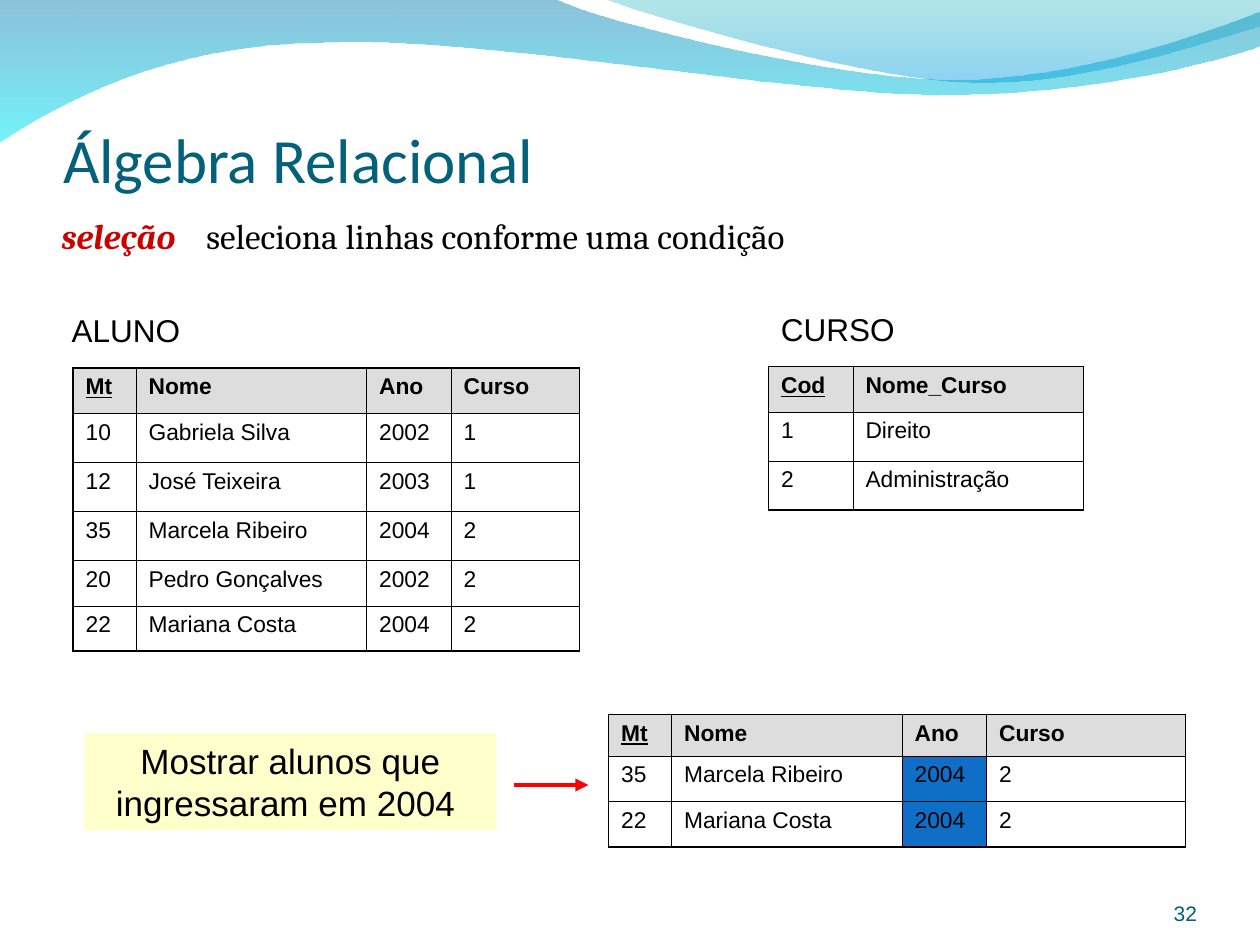
from lxml.etree import SubElement
from pptx import Presentation
from pptx.dml.color import RGBColor
from pptx.enum.shapes import MSO_CONNECTOR, MSO_SHAPE
from pptx.enum.text import MSO_ANCHOR, MSO_AUTO_SIZE, PP_ALIGN
from pptx.oxml.ns import qn
from pptx.util import Inches, Pt

BLACK = RGBColor(0x00, 0x00, 0x00)
RED = RGBColor(0xFF, 0x00, 0x00)
CRIMSON = RGBColor(0xCC, 0x00, 0x00)
TITLE_TEAL = RGBColor(0x04, 0x61, 0x7B)
NUMBER_TEAL = RGBColor(0x04, 0x5C, 0x75)
HEADER_GRAY = RGBColor(0xDD, 0xDD, 0xDD)
NOTE_YELLOW = RGBColor(0xFF, 0xFF, 0xCC)
MATCH_BLUE = RGBColor(0x0F, 0x6F, 0xC6)
WAVE_BLUE = RGBColor(0x00, 0x79, 0xAF)
WAVE_CYAN = RGBColor(0x00, 0xEB, 0xF8)
WAVE_GREEN = RGBColor(0x00, 0xAD, 0xB6)
WAVE_SKY = RGBColor(0x00, 0x9B, 0xE5)

OUTER_LINE = Pt(1.08)
INNER_LINE = Pt(0.45)


def add_span(para, text, size=18, color=BLACK, font="Arial", bold=False, italic=False, underline=False):
    span = para.add_run()
    span.text = text
    span.font.name = font
    span.font.size = Pt(size)
    span.font.color.rgb = color
    span.font.bold = bold
    span.font.italic = italic
    span.font.underline = underline
    return span


class SlideBuilder:
    def __init__(self, deck):
        self.page = deck.slides.add_slide(deck.slide_layouts[5])

    def wave(self, start, segments, stops):
        points = [(Inches(x), Inches(y)) for segment in segments for x, y in segment]
        builder = self.page.shapes.build_freeform(Inches(start[0]), Inches(start[1]))
        builder.add_line_segments(points, close=True)
        shape = builder.convert_to_shape()
        self.curve(shape, segments)
        shape.shadow.inherit = False
        shape.line.fill.background()
        shape.fill.gradient()
        shape.fill.gradient_angle = 270
        for stop, (color, opacity) in zip(shape.fill.gradient_stops, stops):
            stop.color.rgb = color
        colors = list(shape.element.spPr.iter(qn("a:srgbClr")))
        for element, (color, opacity) in zip(colors, stops):
            SubElement(element, qn("a:alpha"), val=str(opacity * 1000))

    def curve(self, shape, segments):
        lines = iter(list(shape.element.spPr.iter(qn("a:lnTo"))))
        for segment in segments:
            first, *others = [next(lines) for point in segment]
            if others:
                first.tag = qn("a:cubicBezTo")
            for line in others:
                first.append(line[0])
                line.getparent().remove(line)

    def title(self, text, left, top, width, height):
        box = self.page.shapes.title
        box.left, box.top, box.width, box.height = map(Inches, (left, top, width, height))
        frame = box.text_frame
        frame.auto_size = MSO_AUTO_SIZE.NONE
        frame.vertical_anchor = MSO_ANCHOR.BOTTOM
        frame.margin_left = frame.margin_right = frame.margin_bottom = 0
        frame.margin_top = Inches(0.05)
        para = frame.paragraphs[0]
        para.alignment = PP_ALIGN.LEFT
        add_span(para, text, size=36, color=TITLE_TEAL, font="Calibri")

    def text(self, left, top, width, height, wrap=True):
        box = self.page.shapes.add_textbox(*map(Inches, (left, top, width, height)))
        box.text_frame.word_wrap = wrap
        return box.text_frame

    def label(self, text, left, top, width):
        frame = self.text(left, top, width, 0.4, wrap=False)
        add_span(frame.paragraphs[0], text)

    def definition(self, term, meaning, left, top, width, height):
        para = self.text(left, top, width, height).paragraphs[0]
        para.line_spacing = 1.8
        tabs = SubElement(para._p.get_or_add_pPr(), qn("a:tabLst"))
        SubElement(tabs, qn("a:tab"), pos=str(Inches(1.15)), algn="l")
        add_span(para, term + "\t", size=20, color=CRIMSON, font="Cambria", bold=True, italic=True)
        add_span(para, meaning, size=20, font="Cambria")

    def page_number(self, text, left, top, width, height):
        frame = self.text(left, top, width, height)
        frame.vertical_anchor = MSO_ANCHOR.BOTTOM
        frame.margin_left = frame.margin_right = frame.margin_top = frame.margin_bottom = 0
        frame.paragraphs[0].alignment = PP_ALIGN.RIGHT
        add_span(frame.paragraphs[0], text, size=12, color=NUMBER_TEAL)

    def note(self, text, left, top, width, height):
        shape = self.page.shapes.add_shape(MSO_SHAPE.RECTANGLE, *map(Inches, (left, top, width, height)))
        shape.shadow.inherit = False
        shape.fill.solid()
        shape.fill.fore_color.rgb = NOTE_YELLOW
        shape.line.fill.background()
        frame = shape.text_frame
        frame.word_wrap = True
        frame.vertical_anchor = MSO_ANCHOR.TOP
        frame.paragraphs[0].alignment = PP_ALIGN.CENTER
        add_span(frame.paragraphs[0], text, size=20)

    def arrow(self, start, end, y):
        line = self.page.shapes.add_connector(
            MSO_CONNECTOR.STRAIGHT, Inches(start), Inches(y), Inches(end), Inches(y))
        line.line.color.rgb = RED
        line.line.width = Pt(2.5)
        SubElement(line.line._get_or_add_ln(), qn("a:tailEnd"), type="triangle")
        SubElement(line.element.spPr, qn("a:effectLst"))

    def border(self, cell, side, width):
        line = SubElement(cell._tc.get_or_add_tcPr(), qn("a:ln" + side), w=str(width))
        fill = SubElement(line, qn("a:solidFill"))
        SubElement(fill, qn("a:srgbClr"), val=str(BLACK))

    def table(self, rows, left, top, widths, heights, match=None):
        frame = self.page.shapes.add_table(
            len(rows), len(widths), Inches(left), Inches(top), Inches(sum(widths)), Inches(sum(heights)))
        table = frame.table
        table.first_row = table.horz_banding = False
        for column, width in zip(table.columns, widths):
            column.width = Inches(width)
        for row, height in zip(table.rows, heights):
            row.height = Inches(height)
        for r, values in enumerate(rows):
            for c, value in enumerate(values):
                cell = table.cell(r, c)
                edges = {"L": c == 0, "R": c == len(widths) - 1, "T": r == 0, "B": r == len(rows) - 1}
                for side, outer in edges.items():
                    self.border(cell, side, OUTER_LINE if outer else INNER_LINE)
                header = r == 0
                if header or value == match:
                    cell.fill.solid()
                    cell.fill.fore_color.rgb = HEADER_GRAY if header else MATCH_BLUE
                else:
                    cell.fill.background()
                add_span(cell.text_frame.paragraphs[0], value, size=13,
                         bold=header, underline=header and c == 0)


def main():
    deck = Presentation()
    deck.slide_width, deck.slide_height = Inches(10), Inches(7.5)
    slide = SlideBuilder(deck)

    slide.wave((0, -0.01), [
        [(4.4, -0.01)],
        [(4.76, 0.17), (6.64, 0.63), (7.58, 0.63)],
        [(8.53, 0.63), (9.58, 0.26), (10, 0.09)],
        [(10.01, 0.36)],
        [(9.83, 0.44), (8.7, 0.76), (7.46, 0.75)],
        [(6.22, 0.75), (3.82, 0.28), (2.57, 0.34)],
        [(1.29, 0.35), (0.46, 0.83), (-0.01, 1.13)],
    ], [(WAVE_BLUE, 45), (WAVE_CYAN, 55)])
    slide.wave((4.79, -0.01), [
        [(5.09, 0.11), (6.82, 0.62), (7.69, 0.65)],
        [(8.56, 0.69), (9.61, 0.32), (10, 0.21)],
        [(10, 0)],
    ], [(WAVE_GREEN, 30), (WAVE_SKY, 45)])

    slide.title("Álgebra Relacional", 0.5, 0.77, 9, 0.79)
    slide.definition("seleção", "seleciona linhas conforme uma condição", 0.39, 1.39, 9.1, 0.83)
    slide.page_number("32", 8.67, 6.95, 0.83, 0.4)

    header = ("Mt", "Nome", "Ano", "Curso")
    students = [
        ("10", "Gabriela Silva", "2002", "1"),
        ("12", "José Teixeira", "2003", "1"),
        ("35", "Marcela Ribeiro", "2004", "2"),
        ("20", "Pedro Gonçalves", "2002", "2"),
        ("22", "Mariana Costa", "2004", "2"),
    ]
    courses = [("Cod", "Nome_Curso"), ("1", "Direito"), ("2", "Administração")]
    year = "2004"
    selected = [student for student in students if student[2] == year]

    slide.label("ALUNO", 0.47, 2.42, 1.06)
    slide.table([header] + students, 0.58, 2.92, (0.5, 1.83, 0.67, 1.02),
                (0.36, 0.39, 0.39, 0.39, 0.36, 0.36))
    slide.label("CURSO", 6.1, 2.41, 1.1)
    slide.table(courses, 6.1, 2.91, (0.67, 1.83), (0.36, 0.39, 0.39))
    slide.note("Mostrar alunos que ingressaram em 2004 ", 0.67, 5.82, 3.27, 0.77)
    slide.arrow(4.08, 4.67, 6.23)
    slide.table([header] + selected, 4.83, 5.67, (0.5, 1.83, 0.67, 1.58),
                (0.33, 0.36, 0.36), match=year)

    deck.save("out.pptx")


if __name__ == "__main__":
    main()
